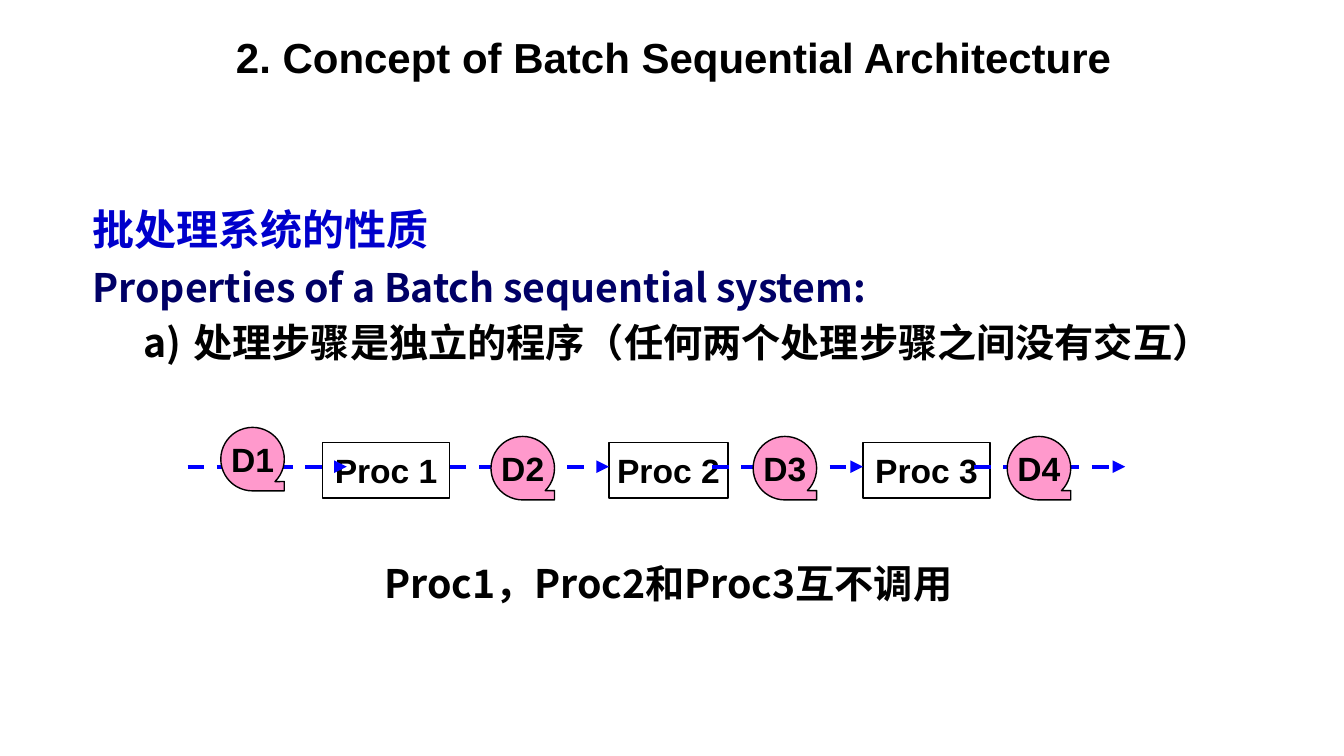
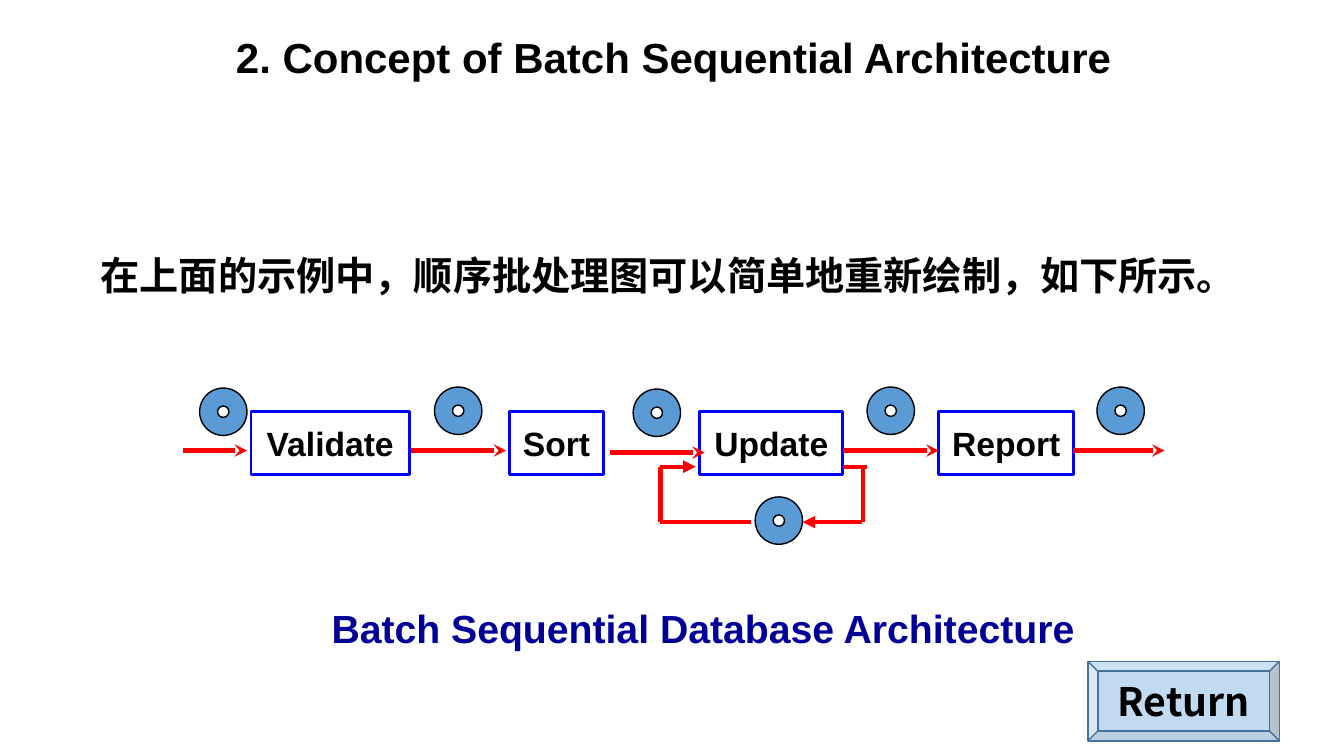
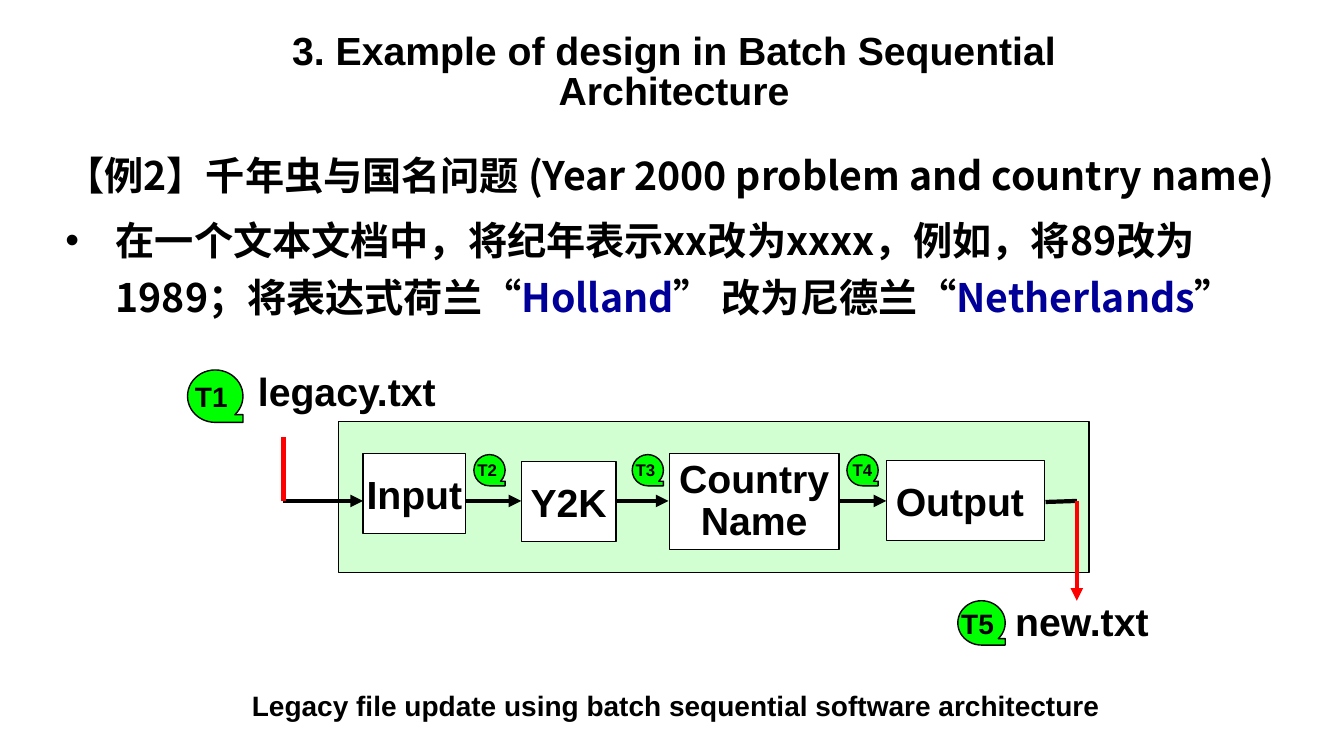
from pptx import Presentation
from pptx.dml.color import RGBColor as RGB
from pptx.enum.dml import MSO_LINE as Dash
from pptx.enum.shapes import MSO_CONNECTOR as Link, MSO_SHAPE as Form
from pptx.enum.text import MSO_ANCHOR as Anchor, PP_ALIGN as Align
from pptx.oxml.ns import qn
from pptx.util import Inches, Pt
from lxml.etree import SubElement as Sub


class Theme:
    latin, asian = "Arial", "Noto Sans CJK SC"
    black, white, red = "000000", "FFFFFF", "FF0000"
    blue, royal, navy, deep = "0000FF", "0000CC", "000066", "000099"
    pink, green, disc, rim = "FF99CC", "00FF00", "5B9BD5", "43739E"
    head, body, label, note, tiny = 30, 28, 24, 20, 12


def put(page, form, at, text="", size=Theme.body, color=Theme.black, font=Theme.latin,
        fill=None, alpha=100, edge=Theme.black, weight=1, align=Align.CENTER,
        space=1.0, before=0):
    box = [Inches(n) for n in at]
    if form is None:
        shape = page.shapes.add_textbox(*box)
    else:
        shape = page.shapes.add_shape(form, *box)
        shape.shadow.inherit = False
        if fill:
            shape.fill.solid()
            shape.fill.fore_color.rgb = RGB.from_string(fill)
            if alpha < 100:
                tint = next(shape._element.iter(qn("a:srgbClr")))
                Sub(tint, qn("a:alpha"), val=str(alpha * 1000))
        else:
            shape.fill.background()
        shape.line.color.rgb = RGB.from_string(edge)
        shape.line.width = Pt(weight)
    frame = shape.text_frame
    frame.word_wrap = form is None
    frame.vertical_anchor = Anchor.TOP if form is None else Anchor.MIDDLE
    frame.text = text
    for para in frame.paragraphs:
        para.alignment = align
        para.line_spacing = space
        para.space_before = Pt(before)
        for run in para.runs:
            run.font.size = Pt(size)
            run.font.bold = True
            run.font.name = font
            run.font.color.rgb = RGB.from_string(color)
            Sub(run.font._element, qn("a:ea"), typeface=font)
    return frame


def join(page, start, end, color, tip=None, dash=None, weight=3):
    link = page.shapes.add_connector(Link.STRAIGHT, *[Inches(n) for n in start + end])
    link.line.color.rgb = RGB.from_string(color)
    link.line.width = Pt(weight)
    if dash:
        link.line.dash_style = dash
    props = link._element.spPr
    if tip:
        Sub(props.find(qn("a:ln")), qn("a:tailEnd"), type=tip)
    Sub(props, qn("a:effectLst"))


deck = Presentation()
deck.slide_width, deck.slide_height = Inches(13.33), Inches(7.5)
concept = "2. Concept of Batch Sequential Architecture"
sample = "3. Example of design in Batch Sequential Architecture"
pages = []
for title, top, size in [(concept, 0.34, Theme.head), (concept, 0.34, Theme.head),
                         (sample, 0.28, Theme.body)]:
    page = deck.slides.add_slide(deck.slide_layouts[6])
    put(page, None, (2.06, top, 9.25, 0.53), title, size, space=0.85)
    pages.append(page)
steps, flow, legacy = pages

frame = put(steps, None, (0.82, 1.92, 11.38, 1.79),
            "批处理系统的性质\nProperties of a Batch sequential system:\n"
            "处理步骤是独立的程序（任何两个处理步骤之间没有交互）",
            font=Theme.asian, align=Align.LEFT, space=1.1, before=3)
first, second, third = frame.paragraphs
first.runs[0].font.size = Pt(Theme.head)
first.runs[0].font.color.rgb = RGB.from_string(Theme.royal)
second.runs[0].font.color.rgb = RGB.from_string(Theme.navy)
props = third._p.get_or_add_pPr()
props.set("marL", str(Inches(1)))
props.set("indent", str(Inches(-0.5)))
Sub(props, qn("a:buAutoNum"), type="alphaLcParenR")

for num, (left, width) in enumerate([(3.2, 1.26), (6.04, 1.18), (8.56, 1.26)], 1):
    put(steps, Form.RECTANGLE, (left, 4.39, width, 0.55), f"Proc {num}", Theme.label)
for start, end in [(1.86, 3.44), (4.46, 6.04), (7.06, 8.56), (9.66, 11.16)]:
    join(steps, (start, 4.63), (end, 4.63), Theme.blue, "triangle", Dash.DASH)
for num, (left, top) in enumerate([(2.19, 4.24), (4.87, 4.33), (7.47, 4.33), (9.99, 4.33)], 1):
    put(steps, Form.FLOWCHART_SEQUENTIAL_ACCESS_STORAGE, (left, top, 0.63, 0.63),
        f"D{num}", Theme.label, fill=Theme.pink)
put(steps, None, (2.1, 5.5, 9.06, 0.57), "Proc1，Proc2和Proc3互不调用", font=Theme.asian)

put(flow, None, (0.9, 2.35, 11.4, 0.67),
    "在上面的示例中，顺序批处理图可以简单地重新绘制，如下所示。",
    font=Theme.asian, align=Align.LEFT, space=1.2)
put(flow, None, (3.19, 5.95, 8.2, 0.57), "Batch Sequential Database Architecture",
    color=Theme.deep, align=Align.LEFT)
for name, left, width in [("Validate", 2.49, 1.57), ("Sort", 5.05, 0.94),
                          ("Update", 6.94, 1.42), ("Report", 9.31, 1.34)]:
    put(flow, Form.RECTANGLE, (left, 4.08, width, 0.63), name, Theme.label,
        fill=Theme.white, edge=Theme.blue, weight=2)
for start, end, y in [(1.82, 2.45, 4.47), (4.08, 5.02, 4.47), (6.05, 6.99, 4.49),
                      (8.36, 9.31, 4.47), (10.64, 11.55, 4.47)]:
    join(flow, (start, y), (end, y), Theme.red, "stealth")
for start, end, tip in [((8.36, 4.63), (8.6, 4.63), None),
                        ((8.56, 4.63), (8.56, 5.18), None),
                        ((8.55, 5.18), (7.96, 5.18), "triangle"),
                        ((7.45, 5.18), (6.55, 5.18), None),
                        ((6.55, 5.18), (6.55, 4.63), None),
                        ((6.55, 4.63), (6.9, 4.63), "triangle")]:
    join(flow, start, end, Theme.red, tip)
for left, top in [(1.98, 3.85), (4.31, 3.84), (6.28, 3.86), (8.6, 3.84),
                  (10.88, 3.84), (7.49, 4.93)]:
    put(flow, Form.DONUT, (left, top, 0.47, 0.47), fill=Theme.disc)
    flow.shapes[-1].adjustments[0] = 0.38
put(flow, Form.BEVEL, (10.79, 6.56, 1.9, 0.79), "Return", font=Theme.asian,
    fill=Theme.disc, alpha=37, edge=Theme.rim)

parts = ["在一个文本文档中，将纪年表示xx改为xxxx，例如，将89改为1989；将表达式荷兰“",
         "Holland", "” 改为尼德兰“", "Netherlands", "”"]
frame = put(legacy, None, (0.55, 1.36, 12.62, 1.85),
            "【例2】千年虫与国名问题 (Year 2000 problem and country name)",
            font=Theme.asian, align=Align.LEFT, space=1.2, before=6)
para = frame.add_paragraph()
para.line_spacing = 1.2
para.space_before = Pt(6)
props = para._p.get_or_add_pPr()
props.set("marL", str(Inches(0.5)))
props.set("indent", str(Inches(-0.5)))
Sub(props, qn("a:buFont"), typeface=Theme.latin)
Sub(props, qn("a:buChar"), char="•")
for num, part in enumerate(parts):
    run = para.add_run()
    run.text = part
    run.font.size = Pt(Theme.body)
    run.font.bold = True
    run.font.name = Theme.asian
    run.font.color.rgb = RGB.from_string(Theme.deep if num % 2 else Theme.black)
    Sub(run.font._element, qn("a:ea"), typeface=Theme.asian)

put(legacy, Form.RECTANGLE, (3.36, 4.18, 7.44, 1.5), fill=Theme.green, alpha=18)
for name, at, space in [("Input", (3.6, 4.5, 1.02, 0.79), 1.0),
                        ("Y2K", (5.17, 4.58, 0.94, 0.79), 1.0),
                        ("Country\nName", (6.64, 4.5, 1.68, 0.95), 0.9),
                        ("Output ", (8.79, 4.57, 1.57, 0.79), 1.0)]:
    put(legacy, Form.RECTANGLE, at, name, fill=Theme.white, space=space)
for start, end in [(2.81, 3.6), (4.62, 5.17), (6.11, 6.63), (8.33, 8.79)]:
    join(legacy, (start, 4.97), (end, 4.97), Theme.black, "triangle")
join(legacy, (10.37, 4.98), (10.68, 4.97), Theme.black)
join(legacy, (2.81, 4.34), (2.81, 4.97), Theme.red, weight=3.5)
join(legacy, (10.68, 4.97), (10.68, 5.96), Theme.red, "triangle")
for name, at, size in [("T1 ", (1.86, 3.67, 0.55, 0.52), Theme.note),
                       ("T2 ", (4.7, 4.51, 0.31, 0.31), Theme.tiny),
                       ("T3 ", (6.27, 4.51, 0.31, 0.31), Theme.tiny),
                       ("T4", (8.4, 4.51, 0.31, 0.31), Theme.tiny),
                       ("T5 ", (9.5, 5.96, 0.47, 0.44), Theme.note)]:
    put(legacy, Form.FLOWCHART_SEQUENTIAL_ACCESS_STORAGE, at, name, size, fill=Theme.green)
put(legacy, None, (2.26, 3.59, 2.36, 0.57), "legacy.txt")
put(legacy, None, (9.97, 5.88, 1.81, 0.57), "new.txt", align=Align.LEFT)
put(legacy, None, (2.02, 6.78, 9.37, 0.44),
    "Legacy file update using batch sequential software architecture", Theme.note)

deck.save("out.pptx")
